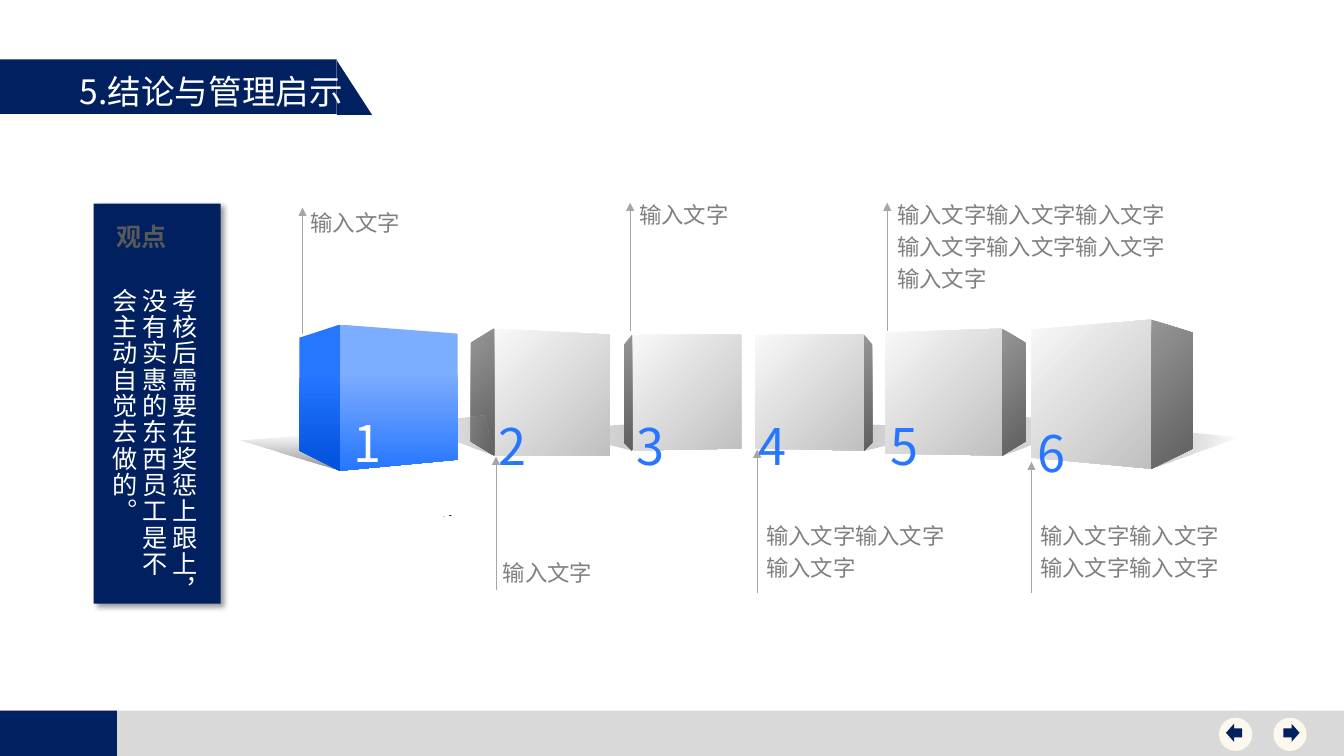
from lxml import etree
from pptx import Presentation
from pptx.dml.color import RGBColor
from pptx.enum.shapes import MSO_CONNECTOR, MSO_SHAPE
from pptx.enum.text import MSO_ANCHOR, MSO_AUTO_SIZE, PP_ALIGN
from pptx.oxml import parse_xml
from pptx.oxml.ns import nsdecls, qn
from pptx.util import Inches, Pt

COLORS = {
    "navy": "002060", "footer": "D9D9D9", "cream": "FCF8ED", "white": "FFFFFF",
    "label": "808080", "arrow": "A6A6A6", "heading": "595959", "blue": "2676FF",
    "speck": "020202", "speck_blue": "A8C8FF",
}
FONT = "Noto Sans CJK SC"

# Gradients: angle in degrees, then stops of (position %, colour, opacity %)
FRONT = (45, [(0, "F8F8F8", 100), (100, "C0C0C0", 100)])
SIDE = (45, [(0, "969696", 100), (100, "5F5F5F", 100)])
BLUE_FRONT = (90, [(33, "7DADFF", 100), (100, "2676FF", 100)])
BLUE_SIDE = (90, [(33, "2676FF", 100), (100, "0051DC", 100)])
SHADOW_LEFT = (0, [(0, "FFFFFF", 50), (100, "666666", 34)])
SHADOW_RIGHT = (0, [(0, "666666", 34), (100, "FFFFFF", 50)])
SHADOW_BLUE = (90, [(0, "000000", 0), (100, "000000", 46)])

# Cubes: three upright edges (x, top, bottom) - outer side, near, far front -
# then the shadow's tip and upper corner, and the three gradients
CUBES = [
    ((2.97, 3.35, 4.47), (3.37, 3.22, 4.67), (4.54, 3.31, 4.56),
     (2.38, 4.37), (3.26, 4.3), BLUE_SIDE, BLUE_FRONT, SHADOW_BLUE),
    ((4.67, 3.4, 4.38), (4.9, 3.26, 4.52), (6.05, 3.32, 4.52),
     (4.03, 4.2), (4.79, 4.12), SIDE, FRONT, SHADOW_LEFT),
    ((6.19, 3.42, 4.39), (6.27, 3.32, 4.47), (7.35, 3.32, 4.45),
     (5.41, 4.26), (6.21, 4.21), SIDE, FRONT, SHADOW_LEFT),
    ((8.65, 3.42, 4.39), (8.57, 3.32, 4.47), (7.49, 3.32, 4.45),
     (9.44, 4.26), (8.65, 4.21), SIDE, FRONT, SHADOW_RIGHT),
    ((10.17, 3.4, 4.38), (9.94, 3.26, 4.52), (8.78, 3.3, 4.5),
     (10.8, 4.2), (10.02, 4.12), SIDE, FRONT, SHADOW_RIGHT),
    ((11.83, 3.3, 4.45), (11.42, 3.17, 4.65), (10.23, 3.27, 4.54),
     (12.28, 4.34), (11.52, 4.26), SIDE, FRONT, SHADOW_RIGHT),
]
WORD = "输入文字"
# Labels: arrow (x, start, end), text box, how many words on each line
LABELS = [
    ((3, 3.31, 2.06), (2.98, 1.97, 1.99, 0.4), [1]),
    ((4.92, 5.85, 4.53), (4.89, 5.44, 2.03, 0.4), [1]),
    ((6.25, 3.28, 2.01), (6.24, 1.89, 2.03, 0.4), [1]),
    ((7.51, 5.88, 4.46), (7.5, 5.08, 2.03, 1.07), [2, 1]),
    ((8.8, 3.28, 2.01), (8.8, 1.89, 3.02, 1.39), [3, 3, 1]),
    ((10.23, 5.88, 4.58), (10.22, 5.08, 2.03, 1.07), [2, 2]),
]
NUMBERS = [("2", 4.99, 4.12), ("3", 6.36, 4.12), ("4", 7.57, 4.12),
           ("5", 8.88, 4.12), ("6", 10.33, 4.19)]


def rgb(name):
    return RGBColor.from_string(COLORS[name])


def inches(values):
    return [Inches(v) for v in values]


class SlideBuilder:
    def __init__(self, prs):
        self.slide = prs.slides.add_slide(prs.slide_layouts[5])
        self.shapes = self.slide.shapes

    def shape(self, kind, box, color):
        sp = self.shapes.add_shape(kind, *inches(box))
        sp.shadow.inherit = False
        sp.fill.solid()
        sp.fill.fore_color.rgb = rgb(color)
        sp.line.fill.background()
        return sp

    def drop_shadow(self, sp):
        effects = sp._element.spPr.find(qn("a:effectLst"))
        effects.append(parse_xml(
            f'<a:outerShdw {nsdecls("a")} blurRad="{Pt(4)}" dist="{Pt(3)}" dir="2700000" '
            'algn="tl" rotWithShape="0"><a:srgbClr val="000000"><a:alpha val="40000"/>'
            '</a:srgbClr></a:outerShdw>'))

    def polygon(self, points, gradient=None, color=None):
        start, *rest = [tuple(inches(pt)) for pt in points]
        builder = self.shapes.build_freeform(*start)
        builder.add_line_segments(rest, close=True)
        sp = builder.convert_to_shape()
        sp.shadow.inherit = False
        sp.line.fill.background()
        if color:
            sp.fill.solid()
            sp.fill.fore_color.rgb = rgb(color)
        else:
            self.gradient(sp, *gradient)
        return sp

    def gradient(self, sp, angle, stops):
        gs = "".join(
            f'<a:gs pos="{pos * 1000}"><a:srgbClr val="{color}">'
            f'<a:alpha val="{alpha * 1000}"/></a:srgbClr></a:gs>'
            for pos, color, alpha in stops)
        sp._element.spPr.find(qn("a:custGeom")).addnext(parse_xml(
            f'<a:gradFill {nsdecls("a")} rotWithShape="1"><a:gsLst>{gs}</a:gsLst>'
            f'<a:lin ang="{angle * 60000}" scaled="0"/></a:gradFill>'))

    def cube_shadow(self, cube):
        _, (x, _, bottom), _, tip, upper, _, _, gradient = cube
        self.polygon([(x, bottom), tip, upper], gradient)

    def cube_faces(self, cube):
        outer, near, far, _, _, side, front, _ = cube
        for edge, gradient in ((far, front), (outer, side)):
            self.polygon([near[:2], near[::2], edge[::2], edge[:2]], gradient)

    def arrow(self, x, start, end):
        cn = self.shapes.add_connector(
            MSO_CONNECTOR.STRAIGHT, *inches((x, start, x, end)))
        cn.line.color.rgb = rgb("arrow")
        cn.line.width = Pt(0.75)
        ln = cn._element.spPr.find(qn("a:ln"))
        etree.SubElement(ln, qn("a:tailEnd"), type="triangle")
        etree.SubElement(cn._element.spPr, qn("a:effectLst"))

    def text(self, box, lines, size, color, **options):
        sp = self.shapes.add_textbox(*inches(box))
        self.fill_text(sp, lines, size, color, **options)
        return sp

    def fill_text(self, sp, lines, size, color, bold=False, inset=None, spacing=None,
                  align=PP_ALIGN.LEFT, anchor=MSO_ANCHOR.TOP, wrap=True):
        tf = sp.text_frame
        frame = {"word_wrap": wrap, "vertical_anchor": anchor,
                 "auto_size": MSO_AUTO_SIZE.NONE}
        if inset is not None:
            frame.update({f"margin_{side}": Inches(inset)
                          for side in ("left", "right", "top", "bottom")})
        for name, value in frame.items():
            setattr(tf, name, value)
        for i, line in enumerate(lines):
            p = tf.add_paragraph() if i else tf.paragraphs[0]
            p.alignment = align
            p.line_spacing = spacing
            r = p.add_run()
            r.text = line
            for name, value in {"size": Pt(size), "name": FONT, "bold": bold}.items():
                setattr(r.font, name, value)
            r.font.color.rgb = rgb(color)
            etree.SubElement(r._r.get_or_add_rPr(), qn("a:ea"), typeface=FONT)

    def title(self, box, line):
        sp = self.shapes.title
        for name, value in zip(("left", "top", "width", "height"), inches(box)):
            setattr(sp, name, value)
        self.fill_text(sp, [line], 24, "white")
        self.shapes._spTree.append(sp._element)  # in front of the banner


def main():
    prs = Presentation()
    prs.slide_width, prs.slide_height = inches((13.33, 7.5))
    s = SlideBuilder(prs)

    s.shape(MSO_SHAPE.RECTANGLE, (0, 7.05, 13.33, 0.46), "footer")
    s.shape(MSO_SHAPE.RECTANGLE, (0, 7.05, 1.16, 0.46), "navy")
    s.shape(MSO_SHAPE.RECTANGLE, (0, 0.59, 3.34, 0.54), "navy")
    s.shape(MSO_SHAPE.RIGHT_TRIANGLE, (3.34, 0.6, 0.35, 0.54), "navy")
    s.title((0.69, 0.65, 2.99, 0.5), "5.结论与管理启示")
    for kind, circle_x, arrow_x in ((MSO_SHAPE.RIGHT_ARROW, 12.63, 12.73),
                                    (MSO_SHAPE.LEFT_ARROW, 12.09, 12.16)):
        s.shape(MSO_SHAPE.OVAL, (circle_x, 7.12, 0.33, 0.33), "cream")
        s.shape(kind, (arrow_x, 7.18, 0.16, 0.18), "navy")
    s.drop_shadow(s.shape(MSO_SHAPE.RECTANGLE, (0.93, 2.02, 1.26, 3.97), "navy"))

    blue, second, *others = CUBES
    for cube in others:
        s.cube_shadow(cube)
    for cube in (second, *others):
        s.cube_faces(cube)
    s.cube_shadow(second)
    s.cube_shadow(blue)
    s.cube_faces(blue)
    for x, y, color in ((4.45, 5.11, "speck"), (4.39, 5.12, "speck_blue")):
        s.polygon([(x, y), (x + 0.03, y), (x + 0.02, y + 0.01)], color=color)

    for arrow, box, counts in LABELS:
        s.text(box, [WORD * n for n in counts], 16, "label", spacing=1.2)
        s.arrow(*arrow)
    for number, x, y in NUMBERS:
        s.text((x, y, 0.19, 0.3), [number], 36, "blue", inset=0,
               align=PP_ALIGN.CENTER, wrap=False)
    s.text((3.51, 4.24, 0.14, 0.29), ["1"], 36, "white", inset=0,
           align=PP_ALIGN.CENTER, anchor=MSO_ANCHOR.MIDDLE)

    view = s.text((1.06, 2.76, 0.94, 3.12),
                  ["考核后需要在奖惩上跟上，没有实惠的东西员工是不会主动自觉去做的。"],
                  18, "white", anchor=MSO_ANCHOR.MIDDLE)
    view.text_frame._txBody.bodyPr.set("vert", "eaVert")
    view.text_frame.paragraphs[0].runs[0]._r.get_or_add_rPr().set("spc", "80")
    s.text((0.96, 2.15, 0.89, 0.4), ["观点"], 18, "heading", bold=True,
           align=PP_ALIGN.CENTER)
    prs.save("out.pptx")


if __name__ == "__main__":
    main()
